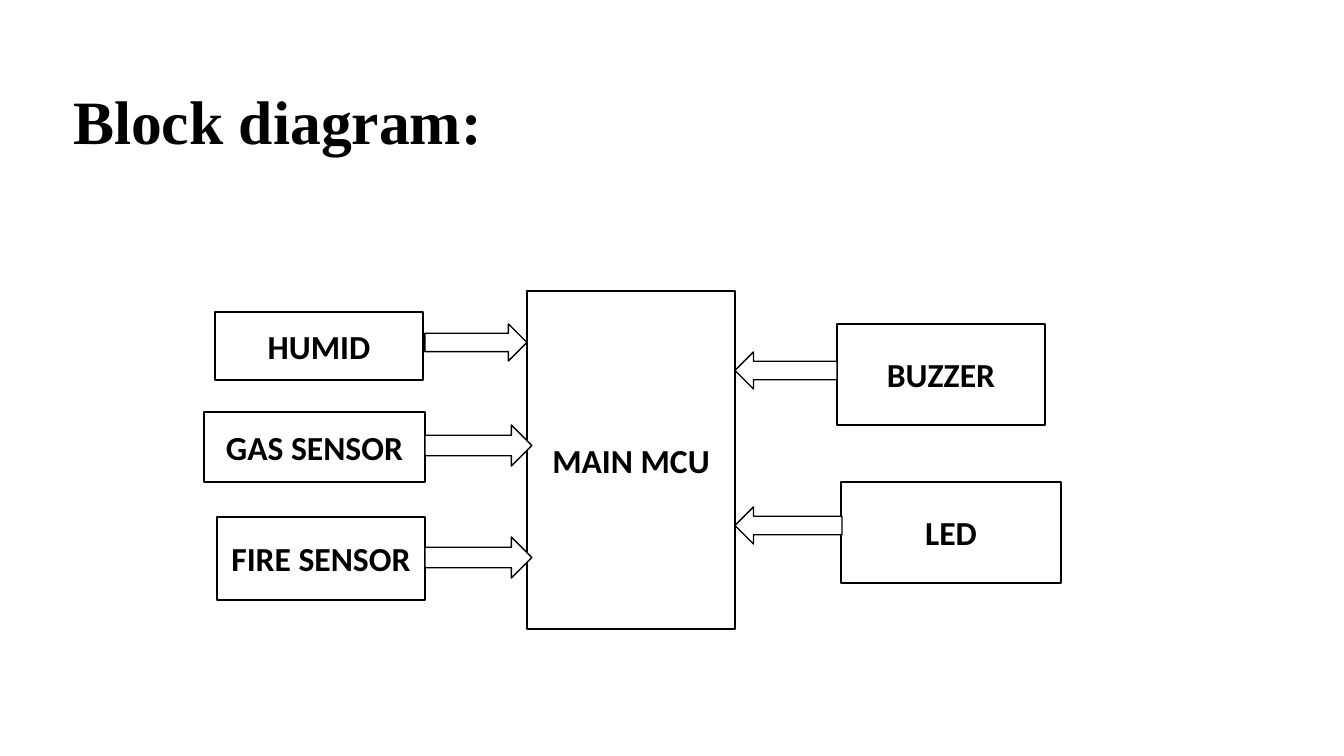
from pptx import Presentation
from pptx.dml.color import RGBColor
from pptx.enum.shapes import MSO_SHAPE as Shape
from pptx.enum.text import MSO_ANCHOR as Anchor, MSO_AUTO_SIZE as AutoSize, PP_ALIGN as Align
from pptx.util import Emu, Pt

TITLE = "Block diagram:"
TITLE_PLACE = (63, 52, 1159, 146)

BLOCKS = [
    ("MAIN MCU", (527, 291, 208, 338)),
    ("HUMID", (215, 312, 208, 68)),
    ("GAS SENSOR", (204, 412, 221, 70)),
    ("FIRE SENSOR", (217, 517, 208, 83)),
    ("BUZZER", (837, 324, 208, 101)),
    ("LED", (841, 482, 220, 101)),
]

SENSOR_RIGHT_X, CONTROLLER_RIGHT_X = 425, 735
ARROWS = [
    (Shape.RIGHT_ARROW, SENSOR_RIGHT_X, [(324, 102, 37), (425, 107, 41), (537, 107, 41)]),
    (Shape.LEFT_ARROW, CONTROLLER_RIGHT_X, [(352, 102, 37), (507, 107, 37)]),
]

COLORS = {"paper": "FFFFFF", "ink": "000000"}
TITLE_FONT = {"name": "Times New Roman", "size": Pt(44), "bold": True}
BLOCK_FONT = {"name": "Calibri", "size": Pt(24), "bold": True}
FRAME = {"vertical_anchor": Anchor.MIDDLE, "word_wrap": True, "auto_size": AutoSize.NONE}
PX = 914400 / 100.8


def px(value):
    return Emu(round(value * PX))


def color(name):
    return RGBColor.from_string(COLORS[name])


def assign(target, values):
    for name, value in values.items():
        setattr(target, name, value)


def write(shape, text, font, para_format):
    assign(shape.text_frame, FRAME)
    para = shape.text_frame.paragraphs[0]
    assign(para, para_format)
    span = para.add_run()
    span.text = text
    assign(span.font, font)
    span.font.color.rgb = color("ink")


def draw(page, kind, place):
    shape = page.shapes.add_shape(kind, *map(px, place))
    shape.shadow.inherit = False
    shape.fill.solid()
    shape.fill.fore_color.rgb = color("paper")
    shape.line.color.rgb = color("ink")
    shape.line.width = Pt(1)
    return shape


def main():
    deck = Presentation()
    assign(deck, {"slide_width": px(1344), "slide_height": px(756)})
    page = deck.slides.add_slide(deck.slide_layouts[5])

    title = page.shapes.title
    assign(title, dict(zip(("left", "top", "width", "height"), map(px, TITLE_PLACE))))
    write(title, TITLE, TITLE_FONT, {"alignment": Align.LEFT, "line_spacing": 0.9})

    for label, place in BLOCKS:
        box = draw(page, Shape.RECTANGLE, place)
        write(box, label, BLOCK_FONT, {"alignment": Align.CENTER})

    for kind, left, rows in ARROWS:
        for top, width, height in rows:
            draw(page, kind, (left, top, width, height))

    deck.save("out.pptx")


if __name__ == "__main__":
    main()
